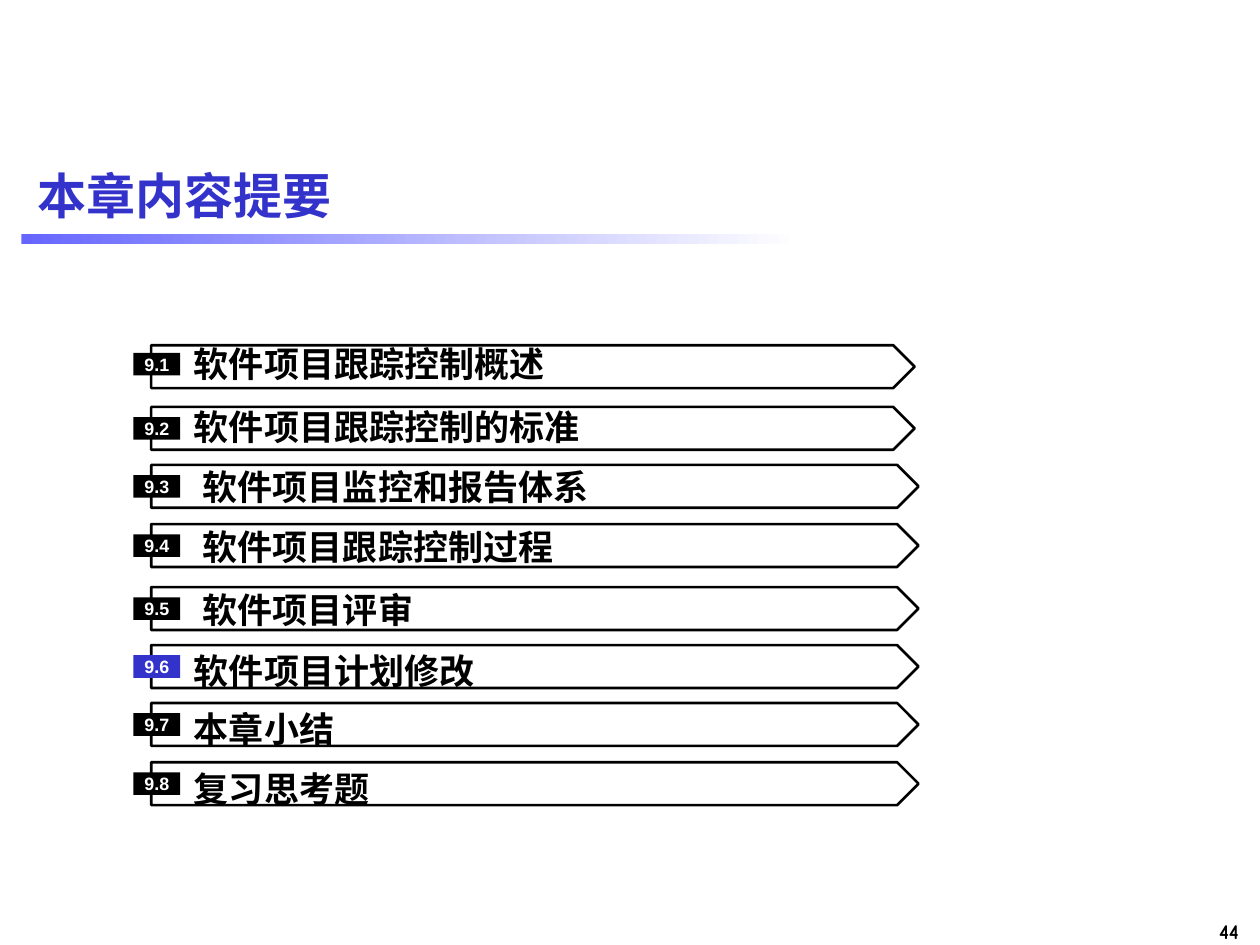
"""Build the chapter outline slide with its eight numbered section arrows."""
from dataclasses import dataclass
from typing import Any

from lxml.etree import SubElement
from pptx import Presentation
from pptx.dml.color import RGBColor
from pptx.enum.shapes import MSO_SHAPE
from pptx.enum.text import MSO_ANCHOR, PP_ALIGN
from pptx.oxml.ns import qn
from pptx.util import Inches, Pt


@dataclass(frozen=True)
class Theme:
    black: RGBColor = RGBColor(0x00, 0x00, 0x00)
    white: RGBColor = RGBColor(0xFF, 0xFF, 0xFF)
    accent: RGBColor = RGBColor(0x33, 0x33, 0xCC)
    rule: RGBColor = RGBColor(0x66, 0x66, 0xFF)
    latin: str = "Arial"
    chinese: str = "Noto Sans CJK SC"
    page: str = "Comic Neue"
    title_size: float = 28
    section_size: float = 20
    page_size: float = 12
    badge_size: float = 10.2
    outline: float = 1.5


@dataclass(frozen=True)
class Section:
    number: str
    heading: str
    top: float
    heading_offset: float
    indent: float = 0.06
    font: str = Theme.latin
    badge_offset: float = 0.08
    width: float = 6.09
    current: bool = False


THEME = Theme()
ARROW_LEFT, ARROW_HEIGHT = 1.2, 0.34
HEADING_LEFT, HEADING_WIDTH, HEADING_HEIGHT = 1.48, 5.4, 0.33
BADGE_LEFT, BADGE_WIDTH, BADGE_HEIGHT = 1.06, 0.37, 0.18

SECTIONS = [
    Section("9.1", "软件项目跟踪控制概述", 2.74, -0.02, font=THEME.chinese, badge_offset=0.06, width=6.06),
    Section("9.2", "软件项目跟踪控制的标准", 3.23, -0.01, font=THEME.chinese, width=6.06),
    Section("9.3", "软件项目监控和报告体系", 3.69, 0.01, indent=0.13),
    Section("9.4", "软件项目跟踪控制过程", 4.16, 0.01, indent=0.13),
    Section("9.5", "软件项目评审", 4.66, 0.01, indent=0.13),
    Section("9.6", "软件项目计划修改", 5.12, 0.04, current=True),
    Section("9.7", "本章小结", 5.58, 0.04, font=THEME.chinese),
    Section("9.8", "复习思考题", 6.05, 0.04, font=THEME.chinese),
]


def write(shape: Any, words: str, size: float, color: RGBColor, font: str,
          align: PP_ALIGN = PP_ALIGN.LEFT) -> None:
    frame = shape.text_frame
    frame.vertical_anchor = MSO_ANCHOR.MIDDLE
    paragraph = frame.paragraphs[0]
    paragraph.alignment = align
    run = paragraph.add_run()
    run.text = words
    run.font.size = Pt(size)
    run.font.bold = True
    run.font.color.rgb = color
    run.font.name = font
    SubElement(run.font._element, qn("a:ea")).set("typeface", THEME.chinese)


def set_margins(shape: Any, left: float = 0) -> None:
    frame = shape.text_frame
    frame.margin_left = Inches(left)
    frame.margin_top = frame.margin_right = frame.margin_bottom = 0


def add_text_box(shapes: Any, left: float, top: float, width: float, height: float) -> Any:
    box = shapes.add_textbox(Inches(left), Inches(top), Inches(width), Inches(height))
    box.text_frame.word_wrap = True
    return box


def add_plain_shape(shapes: Any, kind: MSO_SHAPE, left: float, top: float,
                    width: float, height: float) -> Any:
    shape = shapes.add_shape(kind, Inches(left), Inches(top), Inches(width), Inches(height))
    shape.shadow.inherit = False
    shape.line.fill.background()
    return shape


def add_title(shapes: Any) -> None:
    rule = add_plain_shape(shapes, MSO_SHAPE.RECTANGLE, 0.17, 1.86, 6.17, 0.08)
    rule.fill.gradient()
    rule.fill.gradient_angle = 0
    for stop, color in zip(rule.fill.gradient_stops, (THEME.rule, THEME.white)):
        stop.color.rgb = color
    title = add_text_box(shapes, 0.2, 1.15, 9.61, 0.79)
    write(title, "本章内容提要", THEME.title_size, THEME.accent, THEME.latin)


def add_section(shapes: Any, section: Section) -> None:
    row = shapes.add_group_shape().shapes
    arrow = add_plain_shape(row, MSO_SHAPE.PENTAGON, ARROW_LEFT, section.top,
                            section.width, ARROW_HEIGHT)
    arrow.fill.background()
    arrow.line.color.rgb = THEME.black
    arrow.line.width = Pt(THEME.outline)

    heading = add_text_box(row, HEADING_LEFT, section.top + section.heading_offset,
                           HEADING_WIDTH, HEADING_HEIGHT)
    set_margins(heading, section.indent)
    write(heading, section.heading, THEME.section_size, THEME.black, section.font)

    badge = add_plain_shape(row, MSO_SHAPE.RECTANGLE, BADGE_LEFT,
                            section.top + section.badge_offset, BADGE_WIDTH, BADGE_HEIGHT)
    badge.fill.solid()
    badge.fill.fore_color.rgb = THEME.accent if section.current else THEME.black
    set_margins(badge)
    write(badge, section.number, THEME.badge_size, THEME.white, THEME.latin, PP_ALIGN.CENTER)


def main() -> None:
    deck = Presentation()
    deck.slide_width, deck.slide_height = Inches(10), Inches(7.5)
    shapes = deck.slides.add_slide(deck.slide_layouts[6]).shapes
    page = add_text_box(shapes, 9.01, 7.24, 0.92, 0.3)
    write(page, "44", THEME.page_size, THEME.black, THEME.page, PP_ALIGN.RIGHT)
    add_title(shapes)
    for section in SECTIONS:
        add_section(shapes, section)
    deck.save("out.pptx")


if __name__ == "__main__":
    main()
